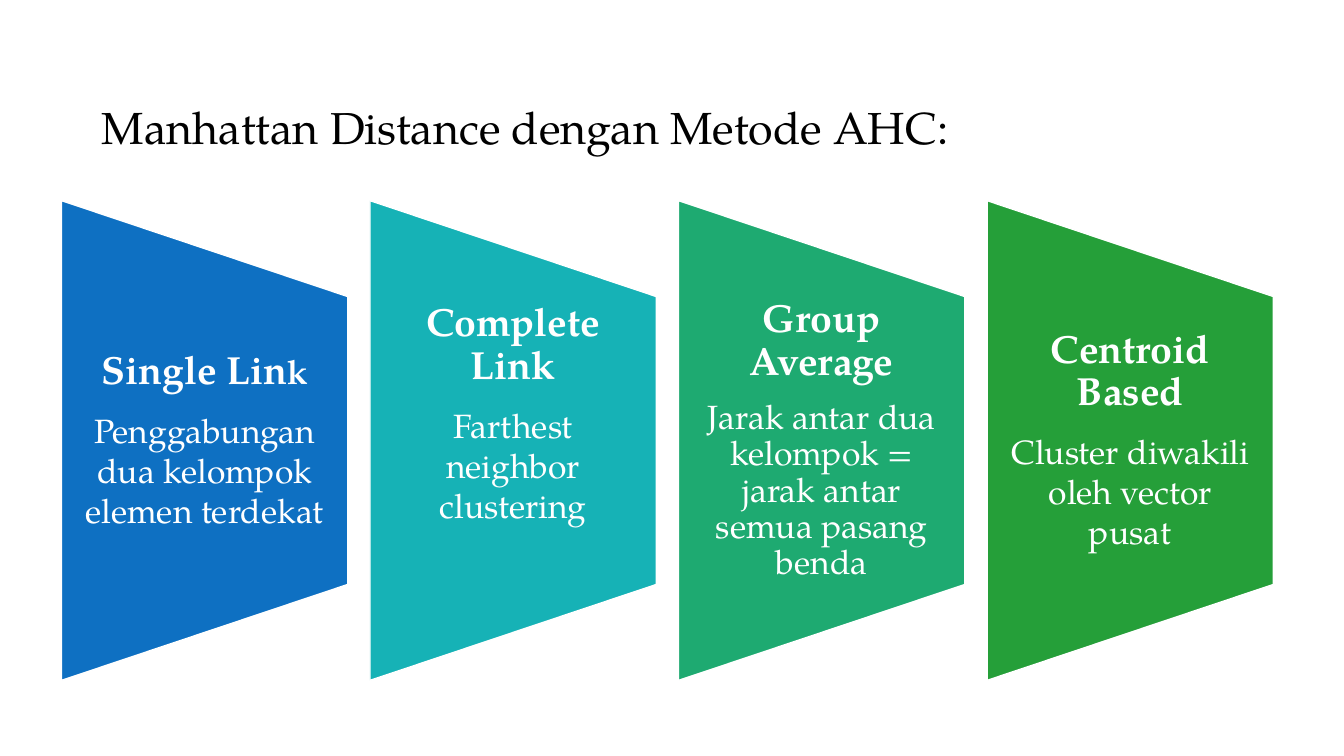
import dataclasses

import pptx
import pptx.dml.color
import pptx.enum.shapes
import pptx.enum.text
import pptx.util

Inches = pptx.util.Inches
Pt = pptx.util.Pt


@dataclasses.dataclass(frozen=True)
class Theme:
    font: str = "TeX Gyre Pagella"
    title_color: str = "000000"
    panel_text: str = "FFFFFF"
    panel_fills: tuple = ("0E70C2", "16B2B6", "1EAA71", "259F39")
    title_size: int = 32
    heading_size: int = 28
    body_size: int = 24
    heading_gap: int = 12
    body_gap: int = 10


THEME = Theme()

FIRST_CENTER = 2.03
PANEL_PITCH = 3.06
PANEL_MIDDLE = 4.37
PANEL_LENGTH = 4.76
PANEL_DEPTH = 2.84
TEXT_HEIGHT = 2.85

METHODS = [
    {"heading": ("Single Lin", "k"),
     "body": "Penggabungan dua kelompok elemen terdekat"},
    {"heading": ("Complete Link",),
     "body": "Farthest neighbor clustering", "bottom": 0.52},
    {"heading": ("Group Average",),
     "body": "Jarak antar dua kelompok = jarak antar semua pasang benda",
     "body_spacing": 0.9},
    {"heading": ("Centroid Based",),
     "body": "Cluster diwakili oleh vector pusat"},
]


def rgb(color):
    return pptx.dml.color.RGBColor.from_string(color)


def style_para(para, size, color, align, spacing, bold=False, gap=0):
    para.font.name = THEME.font
    para.font.size = Pt(size)
    para.font.bold = bold
    para.font.color.rgb = rgb(color)
    para.alignment = align
    para.line_spacing = spacing
    para.space_before = Pt(0)
    para.space_after = Pt(gap)


def add_title(page, text):
    title = page.shapes.title
    title.left, title.top = Inches(0.91), Inches(0.33)
    title.width, title.height = Inches(10.5), Inches(1.25)
    frame = title.text_frame
    frame.text = text
    frame.vertical_anchor = pptx.enum.text.MSO_ANCHOR.BOTTOM
    style_para(frame.paragraphs[0], THEME.title_size, THEME.title_color,
               pptx.enum.text.PP_ALIGN.LEFT, 0.9)


def add_panel(page, center, fill):
    panel = page.shapes.add_shape(
        pptx.enum.shapes.MSO_SHAPE.FLOWCHART_MANUAL_OPERATION,
        Inches(center - PANEL_LENGTH / 2), Inches(PANEL_MIDDLE - PANEL_DEPTH / 2),
        Inches(PANEL_LENGTH), Inches(PANEL_DEPTH))
    panel.rotation = 270
    panel.shadow.inherit = False
    panel.fill.solid()
    panel.fill.fore_color.rgb = rgb(fill)
    panel.line.color.rgb = rgb(THEME.panel_text)
    panel.line.width = Pt(1)


def add_panel_text(page, center, heading, body, body_spacing=1.0, bottom=0):
    box = page.shapes.add_textbox(
        Inches(center - PANEL_DEPTH / 2), Inches(PANEL_MIDDLE - TEXT_HEIGHT / 2),
        Inches(PANEL_DEPTH), Inches(TEXT_HEIGHT))
    frame = box.text_frame
    frame.word_wrap = True
    frame.vertical_anchor = pptx.enum.text.MSO_ANCHOR.MIDDLE
    frame.margin_left = frame.margin_right = Inches(0.19)
    frame.margin_top, frame.margin_bottom = Inches(0), Inches(bottom)
    center_align = pptx.enum.text.PP_ALIGN.CENTER

    heading_para = frame.paragraphs[0]
    for text in heading:
        span = heading_para.add_run()
        span.text = text
    if len(heading) > 1:
        span.font.size = Pt(THEME.body_size)
    style_para(heading_para, THEME.heading_size, THEME.panel_text, center_align,
               0.9, bold=True, gap=THEME.heading_gap)

    body_para = frame.add_paragraph()
    body_para.text = body
    style_para(body_para, THEME.body_size, THEME.panel_text, center_align,
               body_spacing, gap=THEME.body_gap)


def main():
    deck = pptx.Presentation()
    deck.slide_width, deck.slide_height = Inches(13.33), Inches(7.5)
    page = deck.slides.add_slide(deck.slide_layouts[5])
    add_title(page, "Manhattan Distance dengan Metode AHC:")
    for index, (method, fill) in enumerate(zip(METHODS, THEME.panel_fills)):
        center = FIRST_CENTER + index * PANEL_PITCH
        add_panel(page, center, fill)
        add_panel_text(page, center, **method)
    deck.save("out.pptx")


if __name__ == "__main__":
    main()
